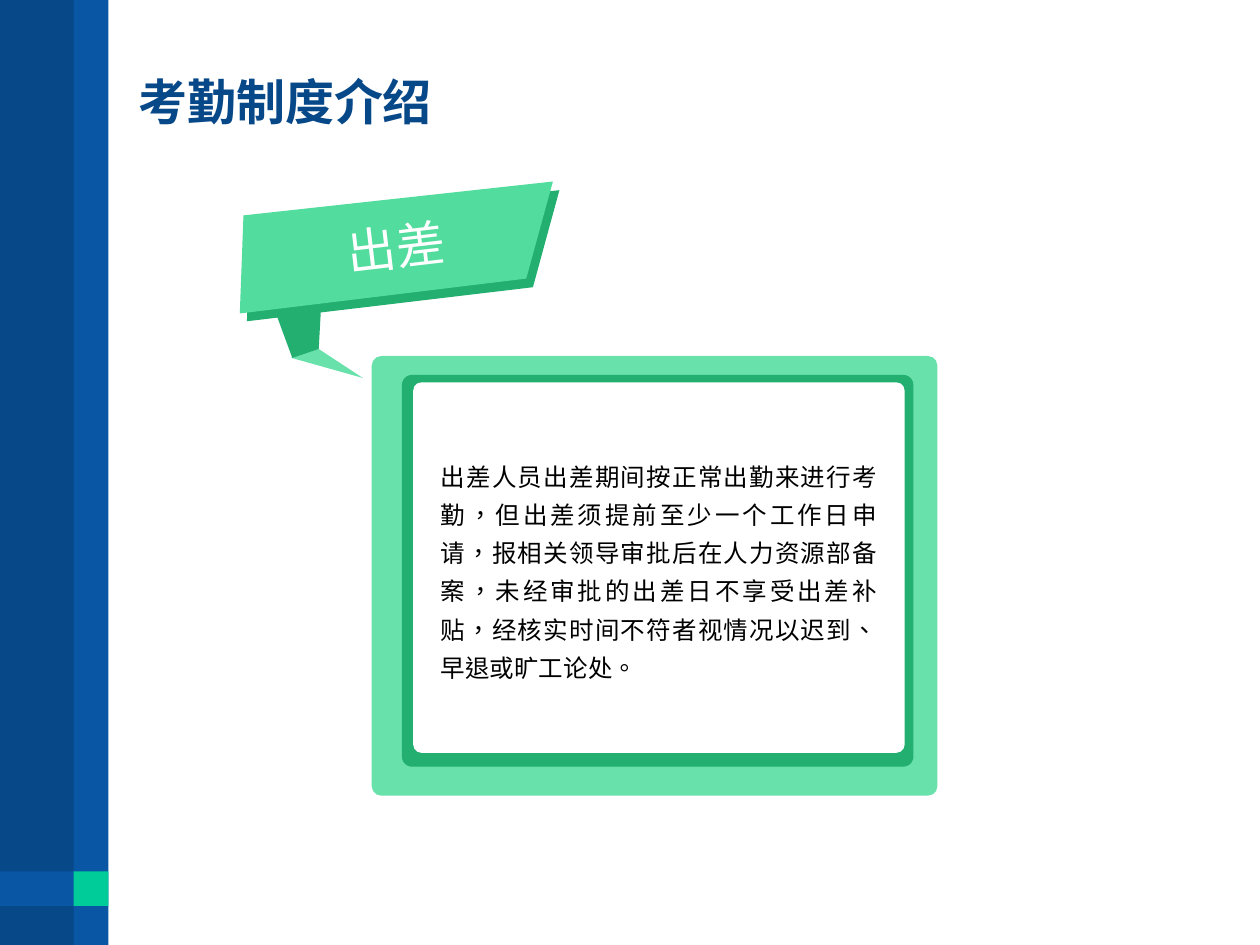
import math

import pptx
import pptx.dml.color
import pptx.enum.lang
import pptx.enum.shapes
import pptx.enum.text
import pptx.util

CELL = 9144
COLUMNS, ROWS = 1000, 750
NAVY, BLUE, TEAL = "074888", "0856A4", "00CC99"
MINT, GREEN, FACE, WHITE, BLACK = "69E1AB", "23AF70", "52DC9E", "FFFFFF", "000000"
SHAPES = pptx.enum.shapes.MSO_SHAPE
ALIGN = pptx.enum.text.PP_ALIGN
LANGUAGE = pptx.enum.lang.MSO_LANGUAGE_ID.TRADITIONAL_CHINESE

TITLE = "考勤制度介绍"
LABEL = "出差"
BODY = (
    "出差人员出差期间按正常出勤来进行考勤，但出差须提前至少一个工作日申请，"
    "报相关领导审批后在人力资源部备案，未经审批的出差日不享受出差补贴，"
    "经核实时间不符者视情况以迟到、早退或旷工论处。"
)


def color(value):
    """Turn a hex string into a colour."""
    return pptx.dml.color.RGBColor.from_string(value)


def cells(*counts):
    """Turn grid counts into lengths."""
    return [pptx.util.Emu(round(count * CELL)) for count in counts]


def assign(target, values):
    """Set attributes from a dict."""
    for name, value in values.items():
        setattr(target, name, value)


def paint(shape, fill):
    """Give a shape a flat fill without line or shadow."""
    shape.shadow.inherit = False
    shape.fill.solid()
    shape.fill.fore_color.rgb = color(fill)
    shape.line.fill.background()
    return shape


def add_block(page, box, fill, radius=None):
    """Add a rectangle, rounded when a radius is given."""
    kind = SHAPES.RECTANGLE if radius is None else SHAPES.ROUNDED_RECTANGLE
    shape = page.shapes.add_shape(kind, *cells(*box))
    if radius is not None:
        shape.adjustments[0] = radius
    return paint(shape, fill)


def add_outline(page, points, fill):
    """Add a closed polygon on the grid."""
    builder = page.shapes.build_freeform(*points[0], scale=CELL)
    builder.add_line_segments(points[1:], close=True)
    return paint(builder.convert_to_shape(), fill)


def write(shape, text, ink, insets, layout, font):
    """Write one vertically centred paragraph without hanging punctuation."""
    frame = shape.text_frame
    sides = ("margin_left", "margin_top", "margin_right", "margin_bottom")
    assign(frame, dict(zip(sides, cells(*insets))))
    assign(frame, {
        "word_wrap": True,
        "vertical_anchor": pptx.enum.text.MSO_ANCHOR.MIDDLE,
    })
    para = frame.paragraphs[0]
    assign(para, layout)
    para._p.get_or_add_pPr().set("hangingPunct", "0")
    span = para.add_run()
    span.text = text
    assign(span.font, font)
    span.font.color.rgb = color(ink)


def add_rail(page, box):
    """Place the crossing bands at the left edge."""
    left, top, width, height = box
    band = 27.5
    inner = left + width - band
    level = top + height - 58.5
    add_block(page, (left, top, width - 3, height), NAVY)
    add_block(page, (inner, top, band, height), BLUE)
    add_block(page, (left, level, width - 3, band), BLUE)
    add_block(page, (inner, level, band, band), TEAL)


def add_title(page, box):
    """Place the page title."""
    shape = page.shapes.add_textbox(*cells(*box))
    layout = {"alignment": ALIGN.LEFT, "line_spacing": pptx.util.Pt(32)}
    font = {"name": "Arial", "size": pptx.util.Pt(28), "bold": True}
    write(shape, TITLE, NAVY, (10, 5, 10, 5), layout, font)


def add_banner(page, box):
    """Place the tilted ribbon with its folded tail."""
    left, top, width, height = box

    def place(points, right=0, down=0):
        """Shift points into the box."""
        return [(left + x + right, top + y + down) for x, y in points]

    face = [(253.5, -0.5), (233, 76.5), (5.5, 103.5), (8, 25.5)]
    add_outline(page, place([(68, 132), (width * 0.4, height), (46, 139)]), MINT)
    add_outline(page, place([(26, 82), (47, 139), (68, 132), (71, 77)]), GREEN)
    add_outline(page, place(face, 5, 6.5), GREEN)

    tilt = 6.7
    cosine, sine = math.cos(math.radians(tilt)), math.sin(math.radians(tilt))
    middle_x, middle_y = width / 2, 51
    level = [
        (
            middle_x + (x - middle_x) * cosine - (y - middle_y) * sine,
            middle_y + (x - middle_x) * sine + (y - middle_y) * cosine,
        )
        for x, y in face
    ]
    ribbon = add_outline(page, place(level), FACE)
    ribbon.rotation = 360 - tilt
    font = {
        "name": "Times New Roman",
        "size": pptx.util.Pt(28),
        "language_id": LANGUAGE,
    }
    write(ribbon, LABEL, WHITE, (0, 0, 0, 0), {"alignment": ALIGN.CENTER}, font)


def add_panel(page, box):
    """Place the nested frames with the rule text."""
    left, top, width, height = box
    add_block(page, box, MINT, 0.022)
    add_block(page, (left + 24, top + 15, width - 43, height - 38), GREEN, 0.026)
    sheet = add_block(
        page, (left + 33, top + 21, width - 59, height - 55), WHITE, 0.022
    )
    layout = {"alignment": ALIGN.JUSTIFY, "line_spacing": 1.3}
    font = {
        "name": "Times New Roman",
        "size": pptx.util.Pt(14),
        "language_id": LANGUAGE,
    }
    write(sheet, BODY, BLACK, (20, 10, 20, 10), layout, font)


def main():
    """Build and save the deck."""
    deck = pptx.Presentation()
    deck.slide_width, deck.slide_height = cells(COLUMNS, ROWS)
    page = deck.slides.add_slide(deck.slide_layouts[6])
    add_rail(page, (0, 0, 86, ROWS))
    add_banner(page, (185, 145, 258, 155))
    add_panel(page, (295, 282.5, 449, 349))
    add_title(page, (100, 9, 863, 145))
    deck.save("out.pptx")


if __name__ == "__main__":
    main()
